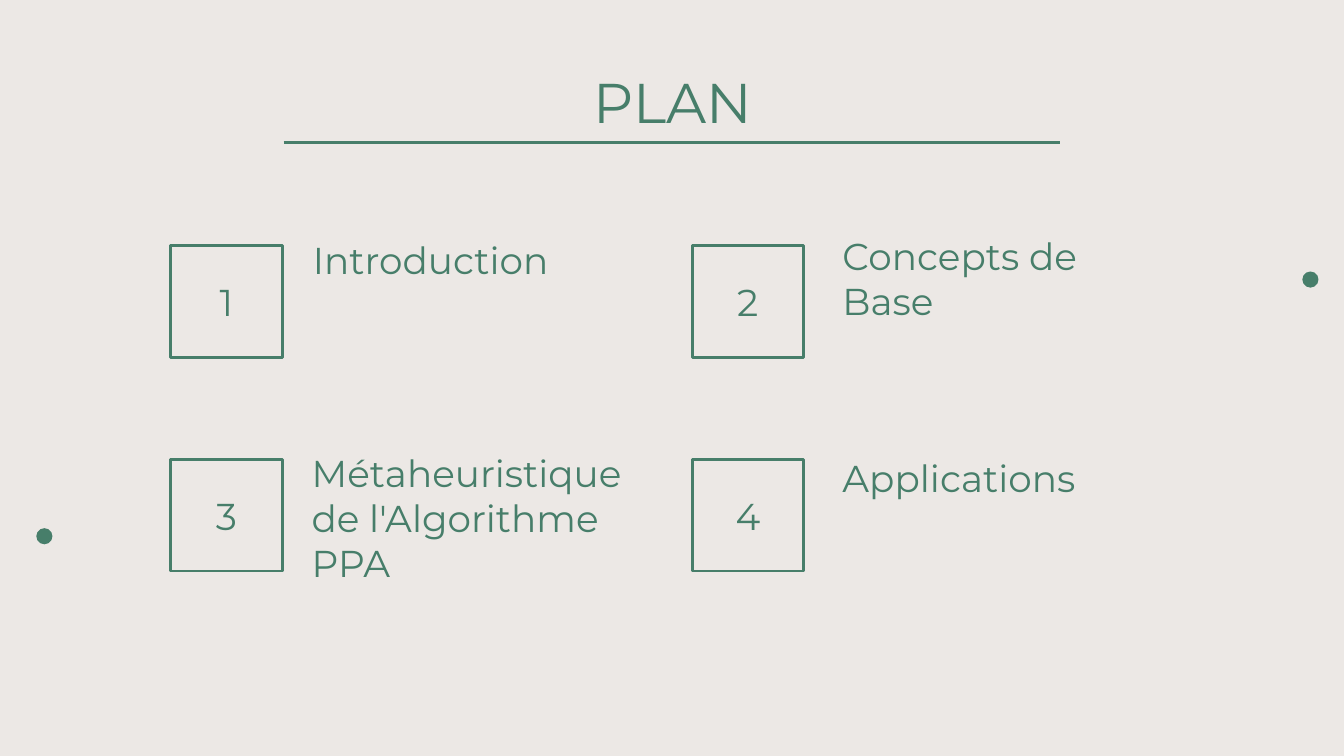
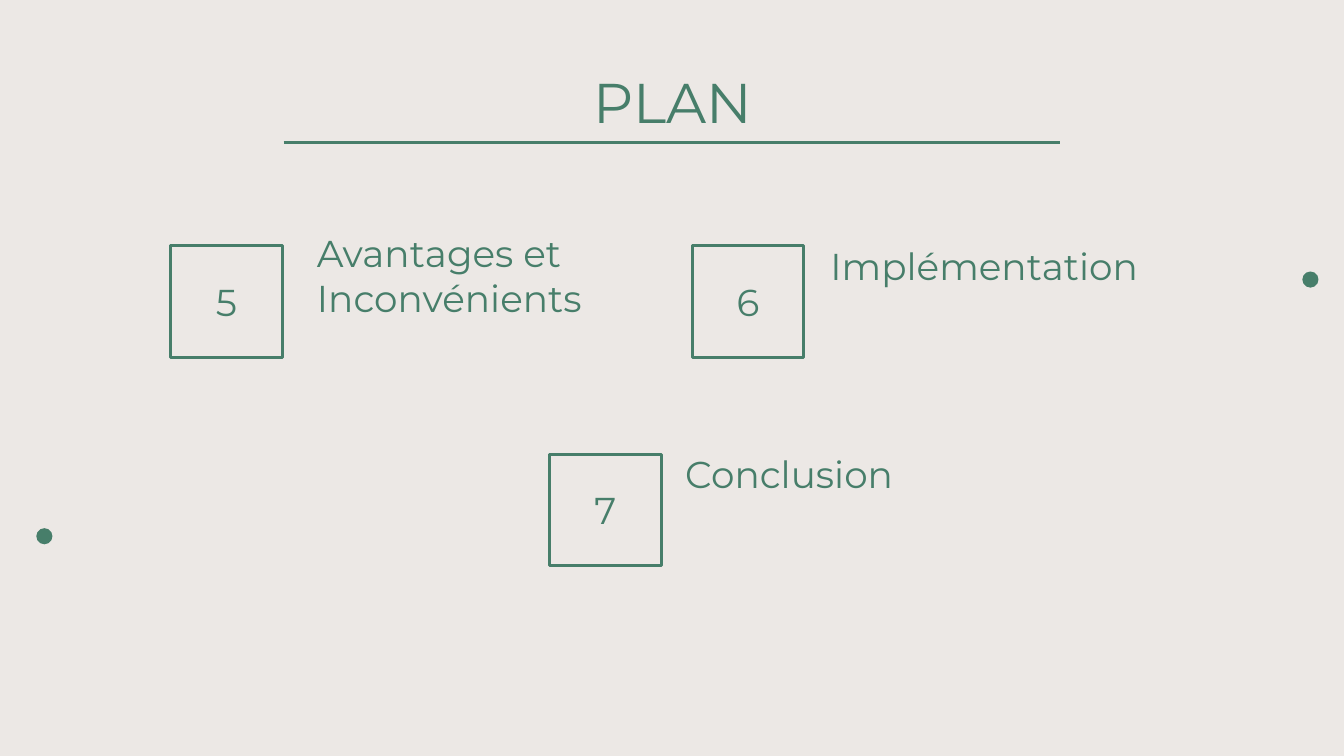
import dataclasses

import lxml.etree
import pptx
import pptx.dml.color
import pptx.enum.shapes
import pptx.enum.text
import pptx.oxml.ns
import pptx.util

# All lengths are counted in square cells, 100 across the slide.
COLUMNS, ROWS = 100, 56.25
CELL = pptx.util.Inches(0.1)

BACKGROUND = "ECE8E5"
GREEN = "477E6A"
FONT = "Montserrat"
LINE_WIDTH = pptx.util.Pt(1.5)

LEFT, RIGHT = 12.7, 51.5
UPPER, LOWER = 18.3, 34.2
SQUARE = 8.3
LABEL_HEIGHT = 4
DOT = 1.2


@dataclasses.dataclass
class Topic:
    number: int
    label: str
    column: float
    row: float
    label_right: float
    label_down: float
    label_width: float = 25.6


PLANS = [
    [
        Topic(1, "Introduction", LEFT, UPPER, 9.6, -0.3),
        Topic(2, "Concepts de Base", RIGHT, UPPER, 10.2, 2.7),
        Topic(3, "Métaheuristique de l'Algorithme PPA", LEFT, LOWER, 9.5, 6.3, 27.4),
        Topic(4, "Applications", RIGHT, LOWER, 10.2, 0),
    ],
    [
        Topic(5, "Avantages et Inconvénients", LEFT, UPPER, 9.9, 2.5),
        Topic(6, "Implémentation", RIGHT, UPPER, 9.3, 0.1, 27.4),
        Topic(7, "Conclusion", 40.9, 33.8, 9.1, 0.1),
    ],
]


def cells(*counts):
    return [round(count * CELL) for count in counts]


def color(value):
    return pptx.dml.color.RGBColor.from_string(value)


def write(shape, text, size, alignment, anchor):
    frame = shape.text_frame
    frame.word_wrap = True
    frame.auto_size = pptx.enum.text.MSO_AUTO_SIZE.NONE
    frame.vertical_anchor = anchor
    frame.margin_left = frame.margin_right = CELL
    frame.margin_top = frame.margin_bottom = CELL
    paragraph = frame.paragraphs[0]
    paragraph.text = text
    paragraph.alignment = alignment
    paragraph.font.size = pptx.util.Pt(size)
    paragraph.font.name = FONT
    paragraph.font.color.rgb = color(GREEN)


def add_dot(slide, column, row):
    dot = slide.shapes.add_shape(
        pptx.enum.shapes.MSO_SHAPE.OVAL, *cells(column, row, DOT, DOT))
    dot.shadow.inherit = False
    dot.fill.solid()
    dot.fill.fore_color.rgb = color(GREEN)
    dot.line.fill.background()


def add_heading(slide, text):
    title = slide.shapes.title
    title.left, title.top, title.width, title.height = cells(7.9, 4, 84.3, 6)
    write(title, text, 30, pptx.enum.text.PP_ALIGN.CENTER,
          pptx.enum.text.MSO_ANCHOR.TOP)

    margin, row = 21.1, 10.6
    rule = slide.shapes.add_connector(
        pptx.enum.shapes.MSO_CONNECTOR.STRAIGHT,
        *cells(margin, row, COLUMNS - margin, row))
    rule.line.color.rgb = color(GREEN)
    rule.line.width = LINE_WIDTH
    lxml.etree.SubElement(
        rule._element.spPr, pptx.oxml.ns.qn("a:effectLst"))


def add_topic(slide, topic):
    """Draw a numbered square and its label, placed from the square's corner."""
    square = slide.shapes.add_shape(
        pptx.enum.shapes.MSO_SHAPE.RECTANGLE,
        *cells(topic.column, topic.row, SQUARE, SQUARE))
    square.shadow.inherit = False
    square.fill.background()
    square.line.color.rgb = color(GREEN)
    square.line.width = LINE_WIDTH
    write(square, str(topic.number), 20, pptx.enum.text.PP_ALIGN.CENTER,
          pptx.enum.text.MSO_ANCHOR.MIDDLE)

    label = slide.shapes.add_textbox(*cells(
        topic.column + topic.label_right, topic.row + topic.label_down,
        topic.label_width, LABEL_HEIGHT))
    write(label, topic.label, 20, pptx.enum.text.PP_ALIGN.LEFT,
          pptx.enum.text.MSO_ANCHOR.BOTTOM)


def add_plan_slide(presentation, topics):
    title_only = presentation.slide_layouts.get_by_name("Title Only")
    slide = presentation.slides.add_slide(title_only)
    add_dot(slide, 2.7, 39.3)
    add_dot(slide, 96.9, 20.2)
    add_heading(slide, "PLAN")
    for topic in topics:
        add_topic(slide, topic)


def main():
    presentation = pptx.Presentation()
    presentation.slide_width, presentation.slide_height = cells(COLUMNS, ROWS)
    background = presentation.slide_master.background.fill
    background.solid()
    background.fore_color.rgb = color(BACKGROUND)
    for topics in PLANS:
        add_plan_slide(presentation, topics)
    presentation.save("out.pptx")


if __name__ == "__main__":
    main()
